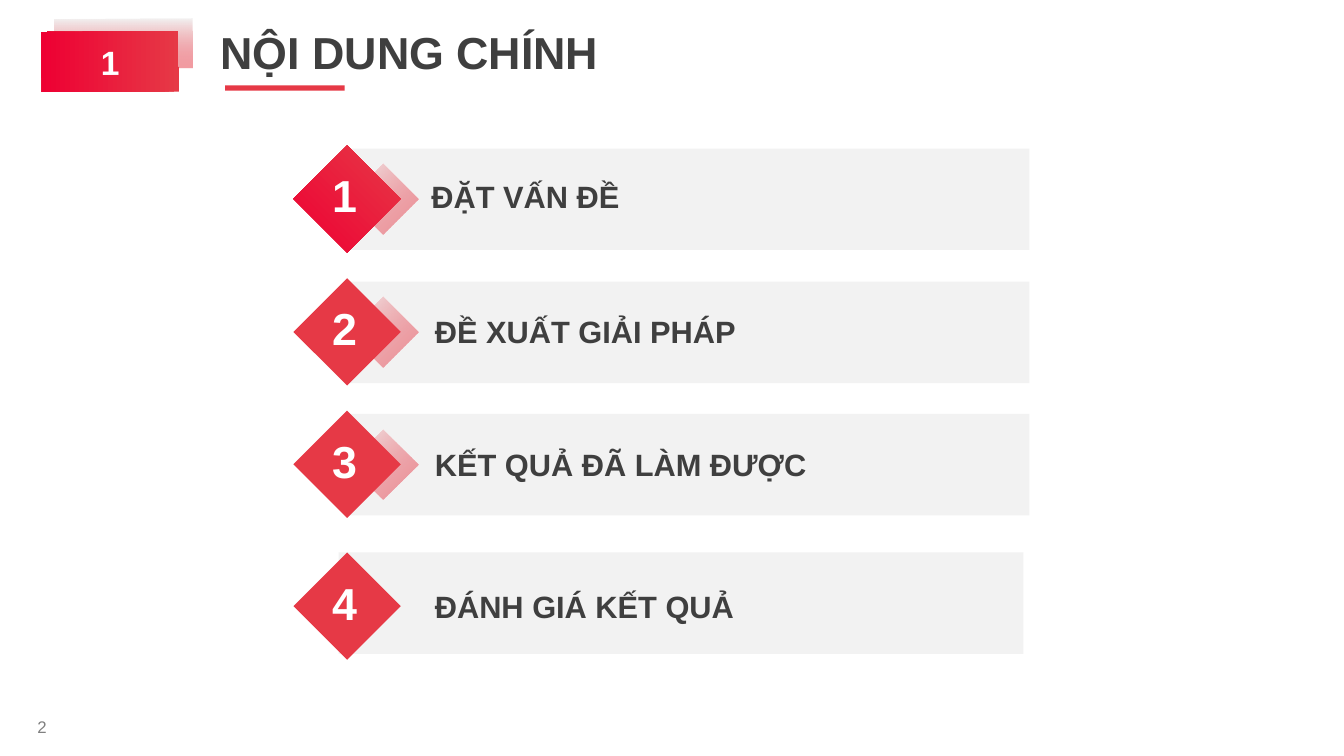
"""Build the agenda slide: a numbered heading above four numbered topics."""
from dataclasses import dataclass

from lxml.etree import SubElement
from pptx import Presentation
from pptx.dml.color import RGBColor
from pptx.enum.shapes import MSO_SHAPE as Preset
from pptx.enum.text import MSO_ANCHOR as Anchor, PP_ALIGN as Align
from pptx.oxml.ns import qn
from pptx.shapes.autoshape import Shape
from pptx.slide import Slide
from pptx.text.text import TextFrame
from pptx.util import Inches, Pt

RED = RGBColor(0xE6, 0x39, 0x46)
CRIMSON = RGBColor(0xEE, 0x00, 0x33)
PALE = RGBColor(0xF2, 0xF2, 0xF2)
DARK = RGBColor(0x3F, 0x3F, 0x3F)
GREY = RGBColor(0x80, 0x80, 0x80)
WHITE = RGBColor(0xFF, 0xFF, 0xFF)

TILE = 1.13
TILE_CENTER = 5.165
FADE = 0.74
BAR_WIDTH, BAR_HEIGHT = 10.19, 1.51


@dataclass(frozen=True)
class Gradient:
    start: RGBColor
    end: RGBColor
    angle: int
    start_opacity: int = 100


@dataclass(frozen=True)
class Topic:
    number: str
    title: str
    middle: float
    tile_fill: RGBColor | Gradient = RED
    bar_left: float = 5.13
    bar_rise: float = 0.75
    title_left: float = 6.47
    title_rise: float = 0.28
    faded: bool = True


TOPICS = [
    Topic("1", "ĐẶT VẤN ĐỀ", 2.96, tile_fill=Gradient(RED, CRIMSON, 135),
          title_left=6.42, title_rise=0.31),
    Topic("2", "ĐỀ XUẤT GIẢI PHÁP", 4.94),
    Topic("3", "KẾT QUẢ ĐÃ LÀM ĐƯỢC", 6.91),
    Topic("4", "ĐÁNH GIÁ KẾT QUẢ", 9.02, bar_left=5.04, bar_rise=0.8, faded=False),
]


def apply_gradient(shape: Shape, gradient: Gradient) -> None:
    shape.fill.gradient()
    shape.fill.gradient_angle = 360 - gradient.angle
    first, last = shape.fill.gradient_stops
    first.color.rgb, last.color.rgb = gradient.start, gradient.end
    first.position, last.position = 0, 1
    grad_fill = shape._element.spPr.find(qn("a:gradFill"))
    grad_fill.set("rotWithShape", "0")
    if gradient.start_opacity < 100:
        start_color = grad_fill.find(".//" + qn("a:srgbClr"))
        SubElement(start_color, qn("a:alpha")).set("val", str(gradient.start_opacity * 1000))


def add_block(slide: Slide, left: float, top: float, width: float, height: float,
              fill: RGBColor | Gradient, rotation: float = 0) -> Shape:
    block = slide.shapes.add_shape(Preset.RECTANGLE, Inches(left), Inches(top),
                                   Inches(width), Inches(height))
    block.shadow.inherit = False
    block.line.fill.background()
    block.rotation = rotation
    if isinstance(fill, Gradient):
        apply_gradient(block, fill)
    else:
        block.fill.solid()
        block.fill.fore_color.rgb = fill
    return block


def write(frame: TextFrame, text: str, *, size: float, color: RGBColor, bold: bool = True,
          align: Align = Align.LEFT, anchor: Anchor = Anchor.TOP, inset: float = 0,
          spacing: float | None = 1.2) -> None:
    frame.word_wrap = True
    frame.vertical_anchor = anchor
    frame.margin_left = frame.margin_right = Inches(inset)
    frame.margin_top = frame.margin_bottom = Inches(inset)
    paragraph = frame.paragraphs[0]
    paragraph.alignment = align
    if spacing:
        paragraph.line_spacing = Pt(size * spacing)
    run = paragraph.add_run()
    run.text = text
    run.font.name = "Arial"
    run.font.size = Pt(size)
    run.font.bold = bold
    run.font.color.rgb = color


def add_label(slide: Slide, left: float, top: float, width: float, height: float) -> TextFrame:
    return slide.shapes.add_textbox(Inches(left), Inches(top),
                                    Inches(width), Inches(height)).text_frame


def add_heading(slide: Slide) -> None:
    add_block(slide, 0.81, 0.28, 2.05, FADE, Gradient(RED, PALE, 270, 50), rotation=359.6)
    badge = add_block(slide, 0.62, 0.47, 2.04, 0.9, Gradient(RED, CRIMSON, 180), rotation=359.6)
    write(badge.text_frame, "1", size=36, color=WHITE, align=Align.CENTER,
          anchor=Anchor.MIDDLE, inset=0.06)
    write(add_label(slide, 3.28, 0.37, 12.96, 0.85), "NỘI DUNG CHÍNH", size=48, color=DARK)
    add_block(slide, 3.35, 1.27, 1.78, 0.08, RED)


def add_topic(slide: Slide, topic: Topic) -> None:
    middle = topic.middle
    add_block(slide, topic.bar_left, middle - topic.bar_rise, BAR_WIDTH, BAR_HEIGHT, PALE)
    if topic.faded:
        add_block(slide, 5.33, middle - FADE / 2, FADE, FADE,
                  Gradient(RED, PALE, 225, 50), rotation=315)
    add_block(slide, TILE_CENTER - TILE / 2, middle - TILE / 2, TILE, TILE,
              topic.tile_fill, rotation=45)
    write(add_label(slide, 4.87, middle - 0.46, 0.53, 0.85), topic.number,
          size=48, color=WHITE, align=Align.CENTER)
    write(add_label(slide, topic.title_left, middle - topic.title_rise, 7.85, 0.52),
          topic.title, size=33, color=DARK)


def main() -> None:
    deck = Presentation()
    deck.slide_width, deck.slide_height = Inches(20), Inches(11.25)
    slide = deck.slides.add_slide(deck.slide_layouts[6])
    add_heading(slide)
    for topic in TOPICS:
        add_topic(slide, topic)
    write(add_label(slide, 0.46, 10.57, 2.96, 0.4), "2", size=18, color=GREY,
          bold=False, inset=0.1, spacing=None)
    deck.save("out.pptx")


if __name__ == "__main__":
    main()
